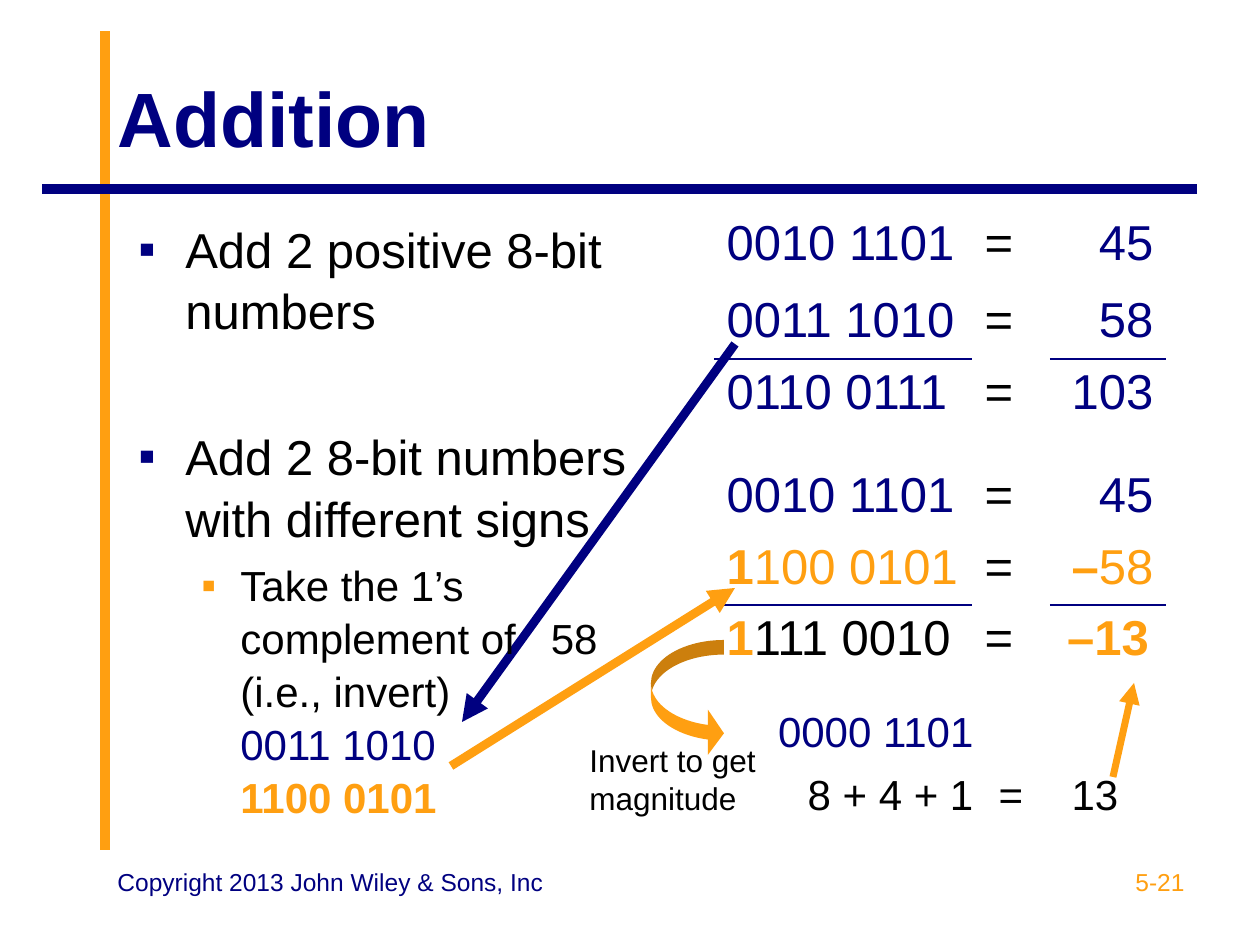
from dataclasses import dataclass

from lxml import etree
from pptx import Presentation
from pptx import util as u
from pptx.dml.color import RGBColor
from pptx.enum import shapes, text
from pptx.oxml import ns

PX = 914400 / 126
LEFT, CENTER, RIGHT = text.PP_ALIGN.LEFT, text.PP_ALIGN.CENTER, text.PP_ALIGN.RIGHT


@dataclass(frozen=True)
class Theme:
    font: str = "Arial"
    navy: str = "000080"
    orange: str = "FF9F11"
    black: str = "000000"
    title: int = 44
    large: int = 28
    medium: int = 24
    note: int = 18
    footer: int = 14
    no_table_style: str = "{2D5ABB26-0587-4C30-8999-92F81FD0307C}"


THEME = Theme()


def px(*lengths):
    return [round(length * PX) for length in lengths]


def apply(target, **values):
    for name, value in values.items():
        setattr(target, name, value)


def child(parent, tag, **attributes):
    return etree.SubElement(parent, ns.qn(tag), attributes)


def write(para, size, *spans, align=LEFT):
    para.alignment = align
    for words, color, bold in spans:
        if words == "\n":
            para.add_line_break()
            continue
        span = para.add_run()
        span.text = words
        apply(span.font, name=THEME.font, size=u.Pt(size), bold=bold)
        span.font.color.rgb = RGBColor.from_string(color)


def format_frame(frame, anchor=text.MSO_ANCHOR.TOP):
    apply(frame, word_wrap=True, auto_size=text.MSO_AUTO_SIZE.NONE, vertical_anchor=anchor)


def add_title(page, words, place):
    title = page.shapes.title
    apply(title, **dict(zip(("left", "top", "width", "height"), px(*place))))
    format_frame(title.text_frame, text.MSO_ANCHOR.MIDDLE)
    write(title.text_frame.paragraphs[0], THEME.title, (words, THEME.navy, True))


def add_text(page, place):
    box = page.shapes.add_textbox(*px(*place))
    format_frame(box.text_frame)
    return box.text_frame


def add_label(page, place, words, size, color, align=LEFT):
    write(add_text(page, place).paragraphs[0], size, (words, color, False), align=align)


def add_bullet(para, margin, hanging, color):
    properties = para._p.get_or_add_pPr()
    properties.set("marL", str(px(margin)[0]))
    properties.set("indent", str(-px(hanging)[0]))
    child(child(properties, "a:buClr"), "a:srgbClr", val=color)
    child(properties, "a:buFont", typeface=THEME.font)
    child(properties, "a:buChar", char="▪")


def add_line(page, ends, color, weight, arrow=False):
    line = page.shapes.add_connector(shapes.MSO_CONNECTOR.STRAIGHT, *px(*ends))
    line.line.color.rgb = RGBColor.from_string(color)
    line.line.width = u.Pt(weight)
    if arrow:
        child(line.line._get_or_add_ln(), "a:tailEnd", type="triangle")
    child(line._element.spPr, "a:effectLst")


def underline(cell):
    border = child(cell._tc.get_or_add_tcPr(), "a:lnB", w=str(u.Pt(0.75)))
    child(child(border, "a:solidFill"), "a:srgbClr", val=THEME.navy)


def add_sums(page, left, top, widths, heights, size, aligns, rows, ruled=()):
    place = px(left, top, sum(widths), sum(heights))
    table = page.shapes.add_table(len(heights), len(widths), *place).table
    apply(table, first_row=False, horz_banding=False)
    table._tbl.tblPr.find(ns.qn("a:tableStyleId")).text = THEME.no_table_style
    for column, width in zip(table.columns, px(*widths)):
        column.width = width
    for row, height in zip(table.rows, px(*heights)):
        row.height = height
    for r, row in enumerate(rows):
        for c, spans in enumerate(row):
            cell = table.cell(r, c)
            if (r, c) in ruled:
                underline(cell)
            cell.fill.background()
            write(cell.text_frame.paragraphs[0], size, *spans, align=aligns[c])
    return table


def add_curved_arrow(page, place):
    arrow = page.shapes.add_shape(shapes.MSO_SHAPE.CURVED_RIGHT_ARROW, *px(*place))
    for index, value in enumerate((0.2, 0.62, 0.22)):
        arrow.adjustments[index] = value
    arrow.fill.solid()
    arrow.fill.fore_color.rgb = RGBColor.from_string(THEME.orange)
    arrow.line.fill.background()
    arrow.shadow.inherit = False


def add_steps(page):
    frame = add_text(page, (126, 210, 525, 624))
    black, navy, orange = THEME.black, THEME.navy, THEME.orange
    new_line = ("\n", black, False)
    invert = [
        ("Take the 1’s complement of", black, False), (" ", black, False),
        ("58 (i.e., invert)", black, False), new_line,
        ("0011 1010", navy, False), new_line, ("1100 0101", orange, True),
    ]
    steps = [
        (0, THEME.large, 47, 47, navy, [("Add 2 positive 8-bit numbers", black, False)]),
        (47.8, THEME.large, 47, 47, navy,
         [("Add 2 8-bit numbers with different signs", black, False)]),
        (6, THEME.medium, 102, 39, orange, invert),
    ]
    for index, (before, size, margin, hanging, color, spans) in enumerate(steps):
        para = frame.add_paragraph() if index else frame.paragraphs[0]
        add_bullet(para, margin, hanging, color)
        apply(para, space_before=u.Pt(before), line_spacing=1.05)
        write(para, size, *spans)
    para.level = 1
    para.runs[1]._r.get_or_add_rPr().set("spc", "1330")


def add_calculations(page):
    def navy(words):
        return [(words, THEME.navy, False)]

    def black(words):
        return [(words, THEME.black, False)]

    def signed(sign, digits, color=THEME.orange):
        return [(sign, THEME.orange, True), (digits, color, False)]

    equals = black("=")
    columns, aligns, ruled = (258, 78, 116), (LEFT, LEFT, RIGHT), ((1, 0), (1, 2))
    mixed = [
        (navy("0010 1101"), equals, navy("45")),
        (signed("1", "100 0101"), equals, signed("–", "58")),
        (signed("1", "111 0010", THEME.black), equals, [("–13", THEME.orange, True)]),
    ]
    positive = [
        (navy("0010 1101"), equals, navy("45")),
        (navy("0011 1010"), equals, navy("58")),
        (navy("0110 0111"), equals, navy("103")),
    ]
    magnitude = [(navy("0000 1101"),), (black("8 + 4 + 1"), equals, black("13"))]
    table = add_sums(page, 714, 462, columns, (72, 71, 71), THEME.large, aligns, mixed, ruled)
    table.cell(2, 2).text_frame.paragraphs[0].alignment = CENTER
    add_sums(page, 714, 210, columns, (77, 72, 72), THEME.large, aligns, positive, ruled)
    add_sums(page, 724, 703, (262, 73, 116), (63, 63), THEME.medium,
             (RIGHT, LEFT, LEFT), magnitude)


def main():
    deck = Presentation()
    apply(deck, slide_width=u.Inches(10), slide_height=u.Inches(7.5))
    page = deck.slides.add_slide(deck.slide_layouts[5])
    add_line(page, (105, 850, 105, 31), THEME.orange, 5.5)
    add_line(page, (1197, 189, 42, 189), THEME.navy, 5.5)
    add_line(page, (735, 344, 462, 722), THEME.navy, 5, arrow=True)
    add_title(page, "Addition", (105, 38, 1092, 157))
    add_steps(page)
    add_calculations(page)
    add_line(page, (451, 766, 735, 588), THEME.orange, 5, arrow=True)
    add_curved_arrow(page, (651, 640, 73, 116))
    add_label(page, (577, 735, 199, 88), "Invert to get magnitude", THEME.note, THEME.black)
    add_line(page, (1113, 777, 1134, 683), THEME.orange, 4, arrow=True)
    add_label(page, (903, 861, 294, 66), "5-21", THEME.footer, THEME.orange, RIGHT)
    add_label(page, (105, 861, 462, 66), "Copyright 2013 John Wiley & Sons, Inc",
              THEME.footer, THEME.navy)
    deck.save("out.pptx")


if __name__ == "__main__":
    main()
